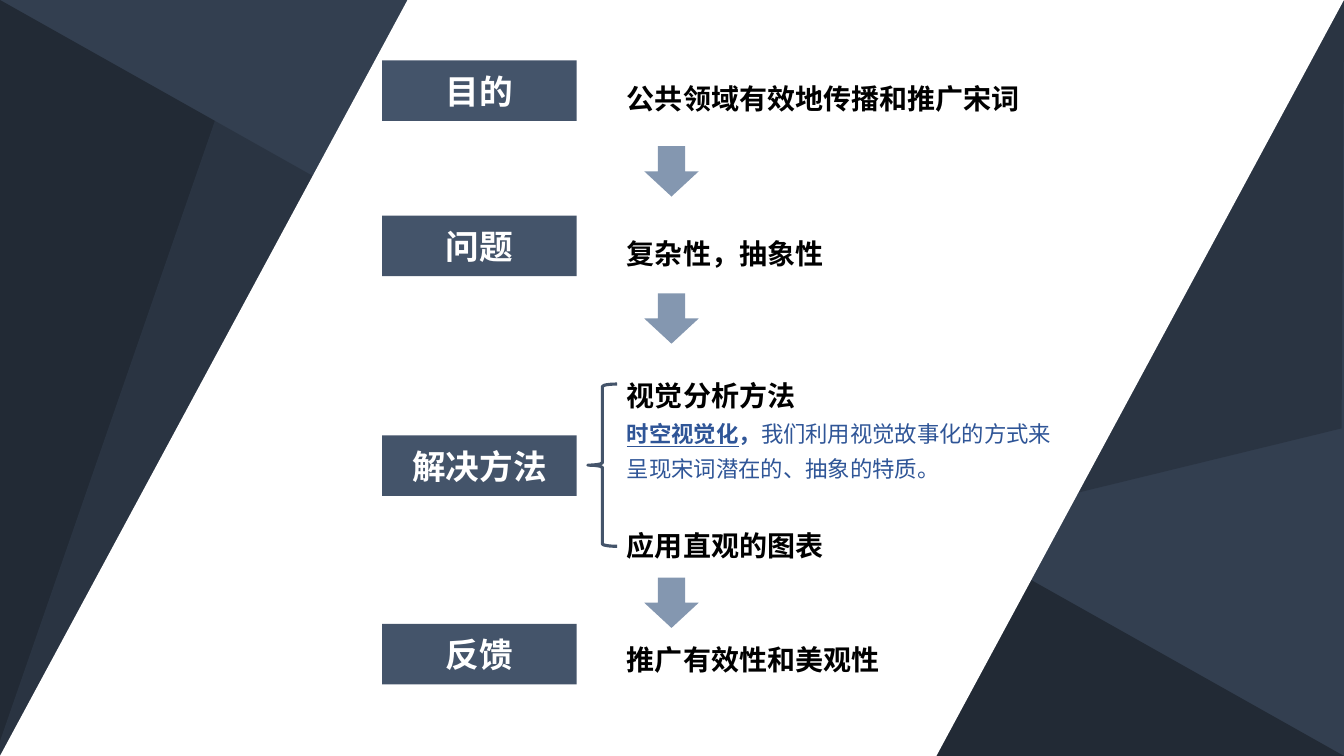
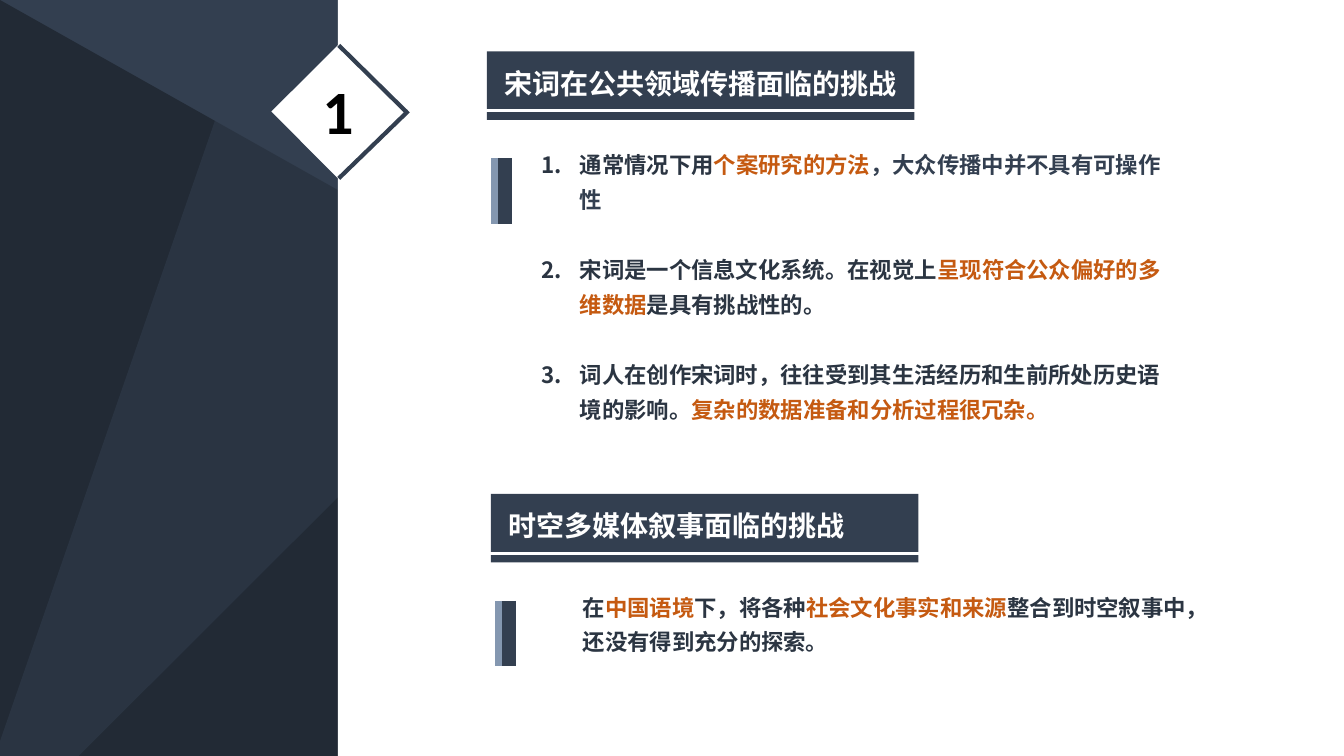
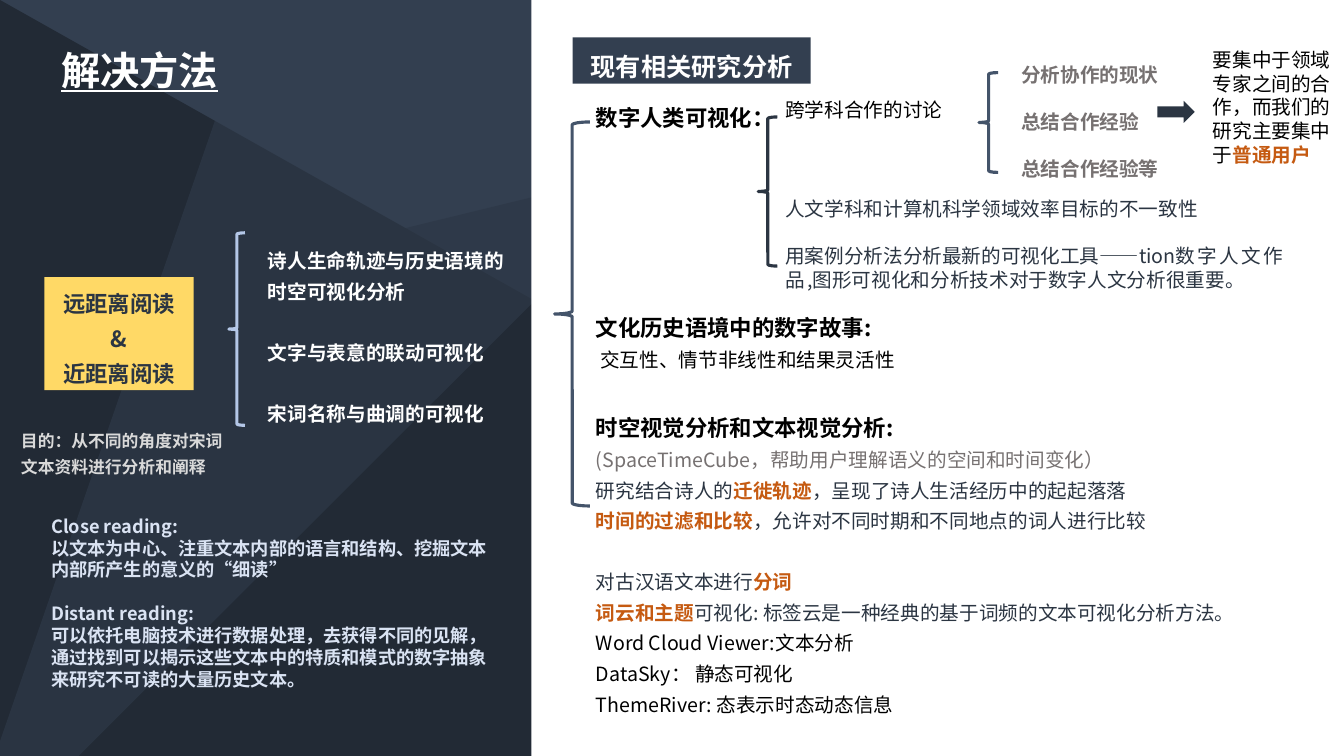
from dataclasses import dataclass
from typing import Any

from pptx import Presentation
from pptx import util as u
from pptx.dml.color import RGBColor
from pptx.enum import shapes, text
from pptx.oxml import ns
from lxml import etree

Kind = shapes.MSO_SHAPE
In = u.Inches


@dataclass(frozen=True)
class Theme:
    navy: str = "333F50"
    night: str = "222A35"
    ink: str = "2B3542"
    slate: str = "44546A"
    steel: str = "8497B0"
    white: str = "FFFFFF"
    black: str = "000000"
    blue: str = "2F5597"
    sky: str = "B4C7E7"
    pale: str = "DAE3F3"
    rust: str = "C55A11"
    gold: str = "FFD966"
    grey: str = "767171"
    mist: str = "D9D9D9"
    latin: str = "Calibri"
    cjk: str = "Noto Sans CJK SC"
    huge: int = 44
    title: int = 28
    label: int = 24
    head: int = 20
    band: int = 18
    body: int = 16
    small: int = 14
    note: int = 13
    tiny: int = 12
    loose: float = 1.3


T = Theme()
HOT = {"color": T.rust, "bold": True}
SLIM = (0.07, 0.04)


def rgb(code):
    return RGBColor.from_string(code)


def sub(node, tag, **attrs):
    return etree.SubElement(node, ns.qn(tag), **attrs)


def blank(size, lead=T.loose):
    """Height in points of one skipped line."""
    return round(size * 1.2 * lead, 1)


def style(run, size, color, bold=False, font=T.cjk, line=False, track=0):
    face = run.font
    face.size, face.bold, face.name = u.Pt(size), bold, font
    face.color.rgb = rgb(color)
    if line:
        face.underline = True
    props = run.font._element
    if track:
        props.set("spc", str(track))
    sub(props, "a:ea", typeface=T.cjk)


def write(frame, paras, lead=1, align="LEFT", anchor="TOP", inset=(0.1, 0.05),
          gaps=(), count=False, **look):
    """Fill a frame; a paragraph is a string or a list of strings and (string, look)."""
    frame.word_wrap = True
    frame.auto_size = text.MSO_AUTO_SIZE.NONE
    frame.vertical_anchor = getattr(text.MSO_ANCHOR, anchor)
    frame.margin_left = frame.margin_right = In(inset[0])
    frame.margin_top = frame.margin_bottom = In(inset[1])
    for i, runs in enumerate(paras):
        para = frame.paragraphs[0] if i == 0 else frame.add_paragraph()
        para.alignment = getattr(text.PP_ALIGN, align)
        para.line_spacing = lead
        if i < len(gaps):
            para.space_before = u.Pt(gaps[i])
        if count:
            props = para._p.get_or_add_pPr()
            props.set("marL", str(In(0.38)))
            props.set("indent", str(-In(0.38)))
            sub(props, "a:buFont", typeface=T.cjk)
            sub(props, "a:buAutoNum", type="arabicPeriod")
        for part in [runs] if isinstance(runs, str) else runs:
            words, extra = (part, {}) if isinstance(part, str) else part
            run = para.add_run()
            run.text = words
            style(run, **{**look, **extra})


@dataclass
class Deck:
    prs: Any
    slide: Any = None

    def start(self, layout):
        self.slide = self.prs.slides.add_slide(self.prs.slide_layouts[layout])

    def shape(self, kind, at, fill=None, line=None, adj=None, turn=0, alpha=None):
        item = self.slide.shapes.add_shape(kind, *map(In, at))
        item.shadow.inherit = False
        item.rotation = turn
        if adj is not None:
            item.adjustments[0] = adj
        if fill:
            item.fill.solid()
            item.fill.fore_color.rgb = rgb(fill)
        else:
            item.fill.background()
        if line:
            item.line.color.rgb = rgb(line)
            item.line.width = u.Pt(2.25)
        else:
            item.line.fill.background()
        if alpha:
            for color in item.element.xpath(".//a:solidFill/a:srgbClr"):
                sub(color, "a:alpha", val=str(alpha * 1000))
        return item

    def box(self, at, fill, words, **look):
        item = self.shape(Kind.RECTANGLE, at, fill)
        write(item.text_frame, words, align="CENTER", **look)

    def brace(self, at, color=T.slate):
        self.shape(Kind.LEFT_BRACE, at, line=color)

    def line(self, x1, y1, x2, y2, color, width):
        item = self.slide.shapes.add_connector(
            shapes.MSO_CONNECTOR.STRAIGHT, *map(In, (x1, y1, x2, y2)))
        item.line.color.rgb = rgb(color)
        item.line.width = u.Pt(width)
        sub(item.element.spPr, "a:effectLst")

    def text(self, at, *paras, **look):
        item = self.slide.shapes.add_textbox(*map(In, at))
        write(item.text_frame, paras, **look)

    def title(self, at, words, **look):
        item = self.slide.shapes.title
        item.left, item.top, item.width, item.height = map(In, at)
        self.slide.shapes.element.append(item.element)
        write(item.text_frame, [words], **look)

    def master(self):
        """Move the faceted backdrop to the slide master."""
        self.start(6)
        facets = [
            self.shape(Kind.ISOSCELES_TRIANGLE, (0, 0, 13.33, 7.5), T.night, adj=0),
            self.shape(Kind.PARALLELOGRAM, (-0.71, 1.68, 14.74, 4.13), T.night,
                       turn=346.3, alpha=50),
            self.shape(Kind.ISOSCELES_TRIANGLE, (1.18, -1.16, 5.41, 11.12), T.navy,
                       adj=1, turn=199.1, alpha=50),
        ]
        base = self.prs.slide_master
        base.background.fill.solid()
        base.background.fill.fore_color.rgb = rgb(T.navy)
        for i, facet in enumerate(facets):
            facet.element.nvSpPr.cNvPr.set("id", str(100 + i))
            base.shapes.element.insert(2 + i, facet.element)

    def section(self, x, y, words, put):
        """Heading band with a white rule and a two-tone marker below."""
        self.shape(Kind.RECTANGLE, (x, y, 4.24, 0.68), T.navy)
        put((x + 0.07, y + 0.1, 5.05, 0.44), words,
            size=T.head, color=T.white, bold=True)
        self.line(x - 0.27, y + 0.59, x + 5.11, y + 0.59, T.white, 2.25)
        for dx, color, width in ((0.18, T.navy, 10), (0.07, T.steel, 5)):
            self.line(x + dx, y + 1.06, x + dx, y + 1.71, color, width)


def flow(deck):
    deck.shape(Kind.PARALLELOGRAM, (0, 0, 13.33, 7.5), T.white, adj=0.539)
    for y, words in ((0.6, "目的"), (2.14, "问题"), (4.32, "解决方法"), (6.19, "反馈")):
        deck.box((3.79, y, 1.93, 0.6), T.slate, [words], anchor="MIDDLE",
                 size=T.label, color=T.white, bold=True, font=T.latin)
    plain = {"size": T.body, "color": T.blue}
    method = [("时空视觉化", {**plain, "line": True}), ("，", plain),
              ("我们利用视觉故事化的方式来呈现宋词潜在的、抽象的特质。",
               {**plain, "bold": False})]
    for y, paras in ((0.66, ["公共领域有效地传播和推广宋词"]),
                     (2.2, ["复杂性，抽象性"]),
                     (3.61, ["视觉分析方法", method]),
                     (5.09, ["应用直观的图表"]),
                     (6.23, ["推广有效性和美观性"])):
        deck.text((6.12, y, 4.56, 0.5 if len(paras) == 1 else 1.2), *paras,
                  lead=T.loose, size=T.head, color=T.black, bold=True)
    for y in (1.45, 2.91, 5.73):
        deck.shape(Kind.DOWN_ARROW, (6.39, y, 0.54, 0.5), T.steel)
    deck.brace((5.83, 3.81, 0.29, 1.61))


def issues(deck):
    deck.shape(Kind.RECTANGLE, (3.35, 0, 9.98, 7.5), T.white)
    deck.shape(Kind.RECTANGLE, (2.89, 0.63, 0.94, 0.95), T.white, turn=45.1)
    deck.line(3.36, 0.45, 4.03, 1.11, T.navy, 3)
    deck.line(4.05, 1.1, 3.36, 1.77, T.navy, 3)
    deck.text((3.1, 0.67, 0.95, 0.84), "1", size=T.huge, color=T.black,
              bold=True, font=T.latin)
    look = {"lead": T.loose, "inset": SLIM, "size": T.body, "color": T.ink, "bold": True}
    deck.section(4.83, 0.51, "宋词在公共领域传播面临的挑战", deck.title)
    skip = blank(T.body)
    deck.text((5.3, 1.38, 6.45, 2.84),
              ["通常情况下用", ("个案研究的方法", HOT),
               ("，大众传播中并不具有可操作性", {"color": T.navy})],
              ["宋词是一个信息文化系统。在视觉上", ("呈现符合公众偏好的多维数据", HOT),
               "是具有挑战性的。"],
              ["词人在创作宋词时，往往受到其生活经历和生前所处历史语境的影响。",
               ("复杂的数据准备和分析过程很冗杂。", HOT)],
              gaps=(0, skip, skip), count=True, **look)
    deck.section(4.87, 4.9, "时空多媒体叙事面临的挑战", deck.text)
    deck.text((5.71, 5.77, 6.45, 0.74),
              ["在", ("中国语境", HOT), "下，将各种", ("社会文化事实和来源", HOT),
               "整合到时空叙事中，还没有得到充分的探索。"], **look)


def reading(deck):
    """Left panel: close and distant reading."""
    deck.box((0.44, 2.75, 1.48, 1.12), T.gold, ["远距离阅读", "&", "近距离阅读"],
             lead=T.loose, size=T.body, color=T.ink, bold=True)
    deck.brace((2.27, 2.31, 0.16, 1.91), T.sky)
    deck.text((0.11, 4.16, 2.32, 0.6), "目的：从不同的角度对宋词文本资料进行分析和阐释",
              lead=T.loose, size=T.tiny, color=T.mist, bold=True)
    skip = blank(T.small)
    deck.text((2.56, 2.35, 2.57, 1.91), "诗人生命轨迹与历史语境的时空可视化分析",
              "文字与表意的联动可视化", "宋词名称与曲调的可视化", gaps=(0, skip, skip),
              lead=T.loose, size=T.small, color=T.white, bold=True)
    deck.title((0.51, 0.41, 3.7, 0.57), "解决方法", size=T.title, color=T.white,
               bold=True, font=T.latin, line=True)
    deck.text((0.41, 5.06, 4.69, 2.07), "Close reading:",
              "以文本为中心、注重文本内部的语言和结构、挖掘文本内部所产生的意义的“细读”",
              "Distant reading:",
              "可以依托电脑技术进行数据处理，去获得不同的见解，通过找到可以揭示这些文本中的"
              "特质和模式的数字抽象来研究不可读的大量历史文本。",
              gaps=(0, 0, blank(T.note, 1)), size=T.note, color=T.pale, bold=True)


def studies(deck):
    """Right panel: related research."""
    head = {"size": T.body, "color": T.black, "bold": True}
    dark = {"color": T.black}
    skip, wide = blank(T.small), blank(T.body)
    rows = [
        (0, [("数字人类可视化：", head)]),
        (5 * wide, [("文化历史语境中的数字故事:", head)]),
        (0, [(" 交互性、情节非线性和结果灵活性", dark)]),
        (wide, [("时空视觉分析和文本视觉分析:", head)]),
        (0, [("(SpaceTimeCube，帮助用户理解语义的空间和时间变化）", {"color": T.grey})]),
        (0, ["研究结合诗人的", ("迁徙轨迹", HOT), "，呈现了诗人生活经历中的起起落落"]),
        (0, [("时间的过滤和比较", HOT), "，允许对不同时期和不同地点的词人进行比较"]),
        (skip, ["对古汉语文本进行", ("分词", HOT)]),
        (0, [("词云和主题", HOT),
             "可视化: 标签云是一种经典的基于词频的文本可视化分析方法。"]),
        (0, [("Word Cloud Viewer:文本分析", dark)]),
        (0, [("DataSky： 静态可视化", dark)]),
        (0, [("ThemeRiver: 态表示时态动态信息", dark)]),
    ]
    gaps, paras = zip(*rows)
    deck.text((5.84, 0.91, 7.4, 6.5), *paras, gaps=gaps, lead=T.loose, inset=SLIM,
              size=T.small, color=T.ink)
    deck.box((5.68, 0.37, 2.36, 0.46), T.navy, ["现有相关研究分析"], lead=T.loose,
             size=T.band, color=T.white, bold=True)
    deck.brace((5.5, 1.21, 0.35, 3.81))
    deck.brace((9.71, 0.72, 0.19, 0.99))
    deck.brace((7.52, 1.16, 0.19, 1.48), T.ink)
    line = blank(T.small, 1)
    deck.text((10.03, 0.57, 2.04, 1.28), "分析协作的现状", "总结合作经验",
              "总结合作经验等", gaps=(0, line, line), size=T.small,
              color=T.grey, bold=True)
    deck.shape(Kind.RIGHT_ARROW, (11.48, 1, 0.37, 0.22), T.ink)
    deck.text((7.69, 0.92, 5.2, 2.29), [("跨学科合作的讨论", dark)],
              "人文学科和计算机科学领域效率目标的不一致性",
              ["用案例分析法分析最新的可视化工具——tion", ("数字人文作品", {"track": 160}),
               ",图形可视化和分析技术对于数字人文分析很重要。"],
              gaps=(0, 54, line), size=T.small, color=T.ink)
    deck.text((11.93, 0.43, 1.48, 1.28),
              ["要集中于领域专家之间的合作，而我们的研究主要集中于", ("普通用户", HOT)],
              size=T.small, color=T.black, font=T.latin)


def main():
    prs = Presentation()
    prs.slide_width, prs.slide_height = In(13.33), In(7.5)
    deck = Deck(prs)
    deck.master()
    flow(deck)
    deck.start(5)
    issues(deck)
    deck.start(5)
    deck.shape(Kind.RECTANGLE, (5.27, 0, 8.06, 7.5), T.white)
    reading(deck)
    studies(deck)
    prs.save("out.pptx")


if __name__ == "__main__":
    main()
